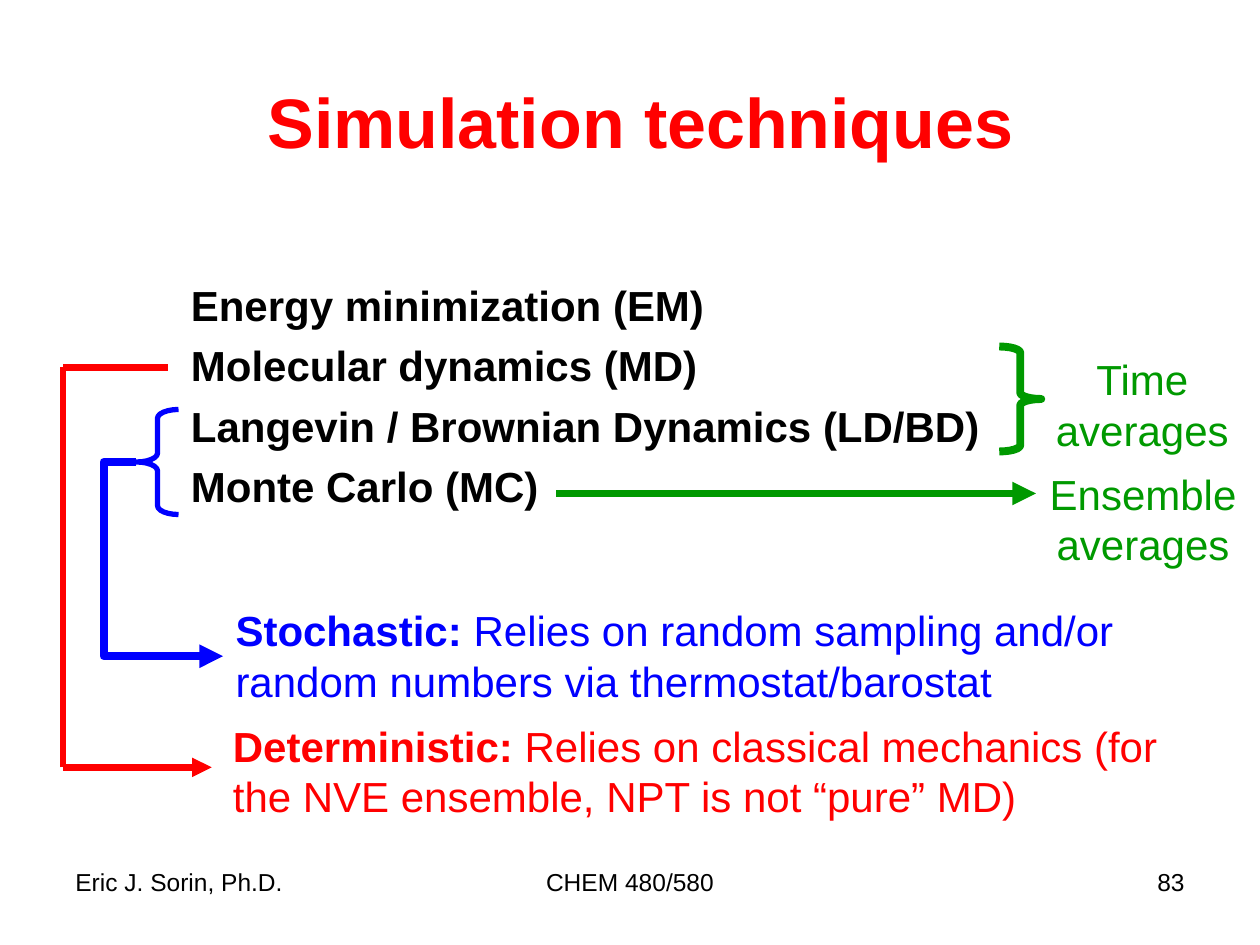
"""Build the "Simulation techniques" slide."""
from dataclasses import dataclass

from lxml.etree import SubElement
from pptx import Presentation
from pptx.dml.color import RGBColor
from pptx.enum.shapes import MSO_CONNECTOR, MSO_SHAPE
from pptx.enum.text import MSO_ANCHOR, PP_ALIGN
from pptx.oxml.ns import qn
from pptx.util import Pt

BLACK, RED, GREEN, BLUE = "000000", "FF0000", "009900", "0000FF"
LEFT, CENTER, RIGHT = PP_ALIGN.LEFT, PP_ALIGN.CENTER, PP_ALIGN.RIGHT


@dataclass
class Label:
    box: tuple[float, float, float, float]
    lines: list[str]
    color: str = BLACK
    size: float = 24
    align: PP_ALIGN = LEFT
    bold: bool = False
    lead: str = ""
    wrap: bool = True
    anchor: MSO_ANCHOR = MSO_ANCHOR.TOP
    spacing: float = 1
    before: float = 0
    hanging: float = 0


@dataclass
class Brace:
    kind: MSO_SHAPE
    box: tuple[float, float, float, float]
    curve: float
    color: str
    width: float


@dataclass
class Line:
    start: tuple[float, float]
    end: tuple[float, float]
    color: str
    width: float
    arrow: bool = False
    bend: float | None = None


LABELS = [
    Label((36, 492, 168, 37), ["Eric J. Sorin, Ph.D."], size=14),
    Label((246, 492, 228, 37), ["CHEM 480/580"], size=14, align=CENTER),
    Label((516, 492, 168, 37), ["83"], size=14, align=RIGHT),
    Label((102, 30, 528, 90), ["Simulation techniques"], RED, 40, CENTER, True,
          anchor=MSO_ANCHOR.MIDDLE, spacing=0.7),
    Label((102, 156, 480, 150),
          ["Energy minimization (EM)", "Molecular dynamics (MD)",
           "Langevin / Brownian Dynamics (LD/BD)", "Monte Carlo (MC)"],
          bold=True, before=5.8, hanging=27),
    Label((595.5, 198.7, 114.5, 65.4), ["Time", "averages"], GREEN, align=CENTER, wrap=False),
    Label((592, 264, 122.4, 65.4), ["Ensemble", "averages"], GREEN, align=CENTER, wrap=False),
    Label((126, 408, 555, 65.4),
          ["Relies on classical mechanics (for", "the NVE ensemble, NPT is not “pure” MD)"],
          RED, lead="Deterministic: ", wrap=False),
    Label((127.5, 342, 574.5, 65.4),
          ["Relies on random sampling and/or random numbers via thermostat/barostat"],
          BLUE, lead="Stochastic: "),
]
BRACES = [
    Brace(MSO_SHAPE.RIGHT_BRACE, (571, 198, 24, 60), 0.15, GREEN, 4.5),
    Brace(MSO_SHAPE.LEFT_BRACE, (78, 234, 24, 60), 0.21, BLUE, 3),
]
LINES = [
    Line((318, 282), (592, 282), GREEN, 4.5, arrow=True),
    Line((78, 264), (127.5, 375), BLUE, 4.5, arrow=True, bend=-0.38),
    Line((96, 210), (36, 210), RED, 3.75),
    Line((36, 438.5), (36, 210), RED, 3.75),
    Line((36, 438.5), (121, 438.5), RED, 3.75, arrow=True),
]


def rgb(color: str) -> RGBColor:
    return RGBColor.from_string(color)


def draw_label(s, label: Label) -> None:
    tf = s.shapes.add_textbox(*map(Pt, label.box)).text_frame
    tf.word_wrap = label.wrap
    tf.vertical_anchor = label.anchor
    for i, line in enumerate(label.lines):
        p = tf.paragraphs[0] if i == 0 else tf.add_paragraph()
        p.alignment = label.align
        p.line_spacing = label.spacing
        if i:
            p.space_before = Pt(label.before)
        if label.hanging:
            pPr = p._p.get_or_add_pPr()
            pPr.set("marL", str(Pt(label.hanging)))
            pPr.set("indent", str(-Pt(label.hanging)))
        p.font.name = "Arial"
        p.font.size = Pt(label.size)
        p.font.color.rgb = rgb(label.color)
        p.font.bold = label.bold
        if label.lead and i == 0:
            r = p.add_run()
            r.text = label.lead
            r.font.bold = True
        p.add_run().text = line


def draw_brace(s, brace: Brace) -> None:
    shape = s.shapes.add_shape(brace.kind, *map(Pt, brace.box))
    shape.shadow.inherit = False
    shape.adjustments[0] = brace.curve
    shape.fill.background()
    shape.line.color.rgb = rgb(brace.color)
    shape.line.width = Pt(brace.width)


def draw_line(s, line: Line) -> None:
    kind = MSO_CONNECTOR.STRAIGHT if line.bend is None else MSO_CONNECTOR.ELBOW
    c = s.shapes.add_connector(kind, *map(Pt, line.start + line.end))
    c.line.color.rgb = rgb(line.color)
    c.line.width = Pt(line.width)
    spPr = c._element.spPr
    if line.arrow:
        SubElement(c.line._get_or_add_ln(), qn("a:tailEnd"), type="triangle")
    if line.bend is not None:
        SubElement(spPr.find(".//" + qn("a:avLst")), qn("a:gd"),
                   name="adj1", fmla=f"val {round(line.bend * 100000)}")
    SubElement(spPr, qn("a:effectLst"))


def main() -> None:
    prs = Presentation()
    prs.slide_width, prs.slide_height = Pt(720), Pt(540)
    s = prs.slides.add_slide(prs.slide_layouts[6])
    for label in LABELS:
        draw_label(s, label)
    for brace in BRACES:
        draw_brace(s, brace)
    for line in LINES:
        draw_line(s, line)
    prs.save("out.pptx")


if __name__ == "__main__":
    main()
